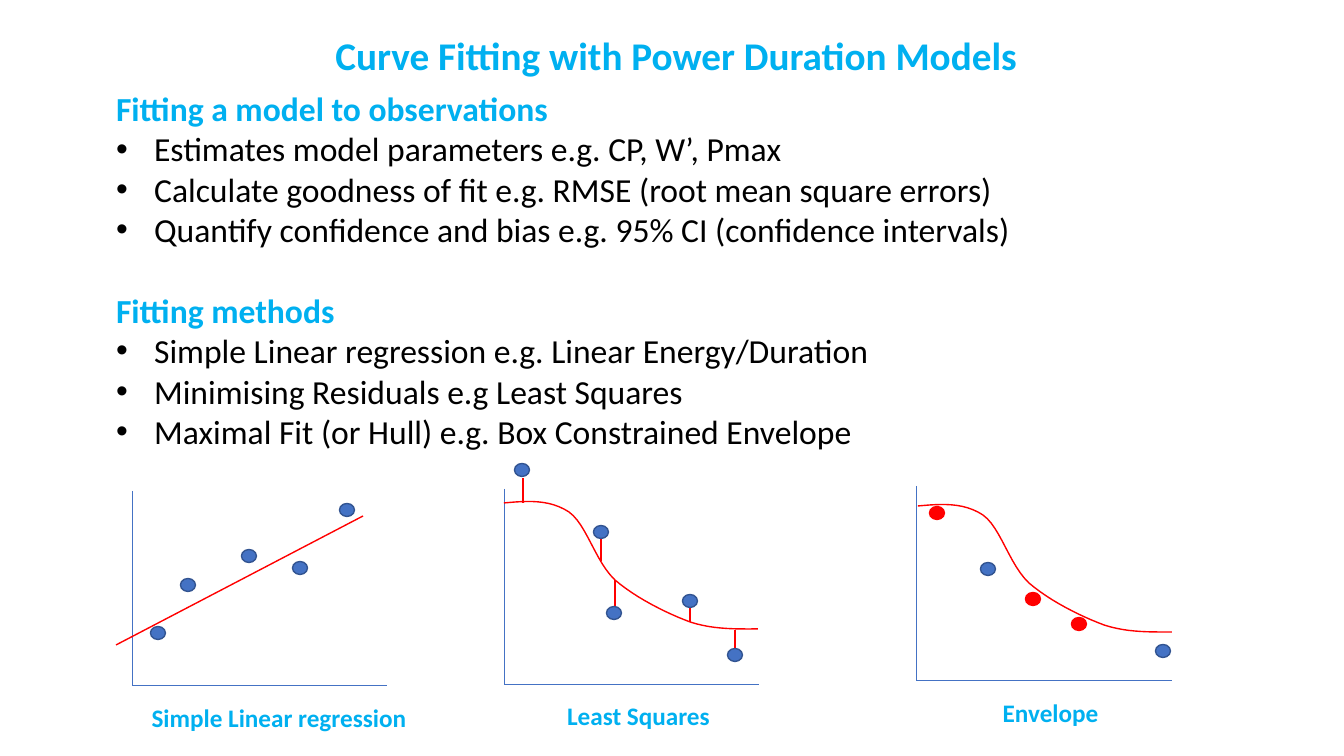
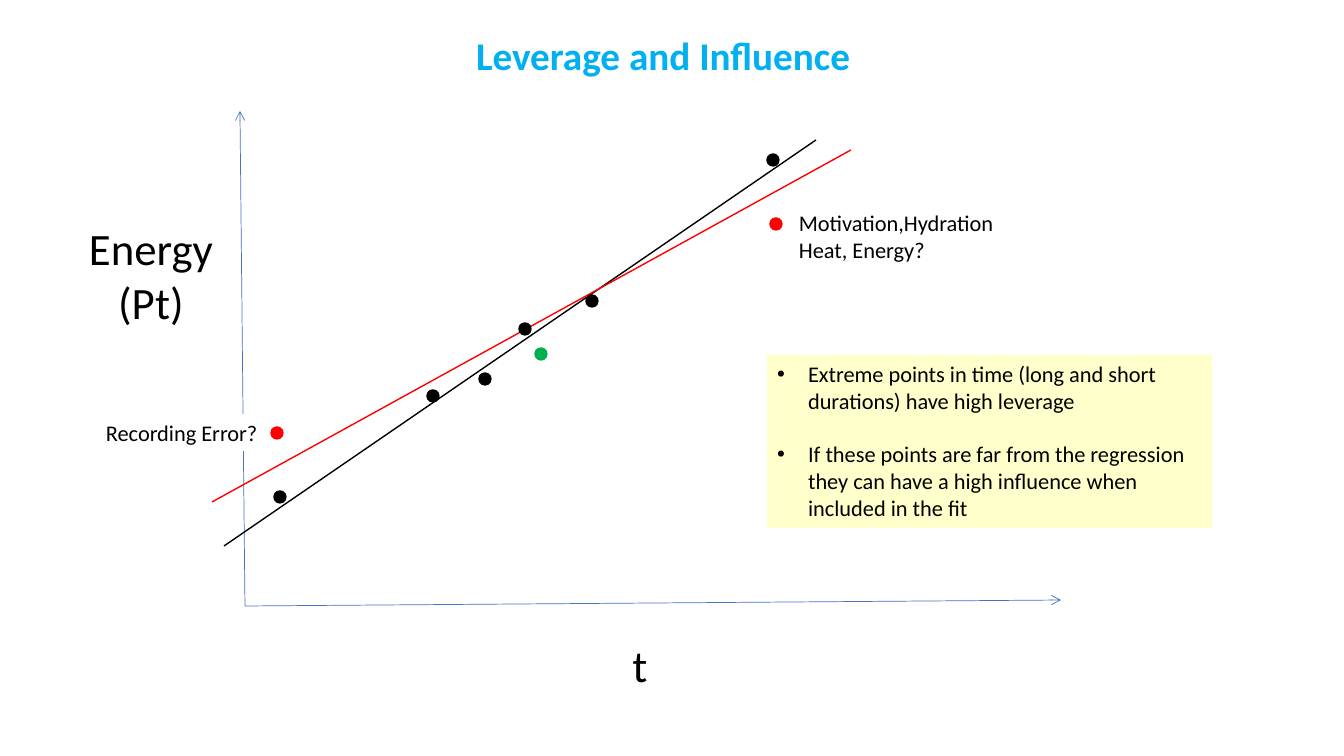
"""Build two slides on curve fitting, leverage and influence."""
import pptx
import pptx.util
import pptx.dml.color
import pptx.enum.shapes
import pptx.enum.text
import pptx.oxml.ns
import lxml.etree

SCALE = 914400 / 100.8
FONT = "Calibri"
CYAN = pptx.dml.color.RGBColor(0x00, 0xB0, 0xF0)
BLUE = pptx.dml.color.RGBColor(0x44, 0x72, 0xC4)
NAVY = pptx.dml.color.RGBColor(0x32, 0x54, 0x91)
RED = pptx.dml.color.RGBColor(0xFF, 0x00, 0x00)
GREEN = pptx.dml.color.RGBColor(0x00, 0xB0, 0x50)
BLACK = pptx.dml.color.RGBColor(0x00, 0x00, 0x00)
WHITE = pptx.dml.color.RGBColor(0xFF, 0xFF, 0xFF)
YELLOW = pptx.dml.color.RGBColor(0xFF, 0xFF, 0xCC)
LEFT = pptx.enum.text.PP_ALIGN.LEFT
CENTER = pptx.enum.text.PP_ALIGN.CENTER
FRAME_FORMAT = {
    "word_wrap": True,
    "auto_size": pptx.enum.text.MSO_AUTO_SIZE.NONE,
    "vertical_anchor": pptx.enum.text.MSO_ANCHOR.TOP,
}


def px(length):
    """Turn pixels into EMU."""
    return pptx.util.Emu(round(length * SCALE))


def write(box, bounds, rows, size, align):
    """Place a box and fill it with rows of (text, colour, indent, space before)."""
    for name, length in zip(("left", "top", "width", "height"), bounds):
        setattr(box, name, px(length))
    frame = box.text_frame
    for name, value in FRAME_FORMAT.items():
        setattr(frame, name, value)
    for number, (text, colour, indent, gap) in enumerate(rows):
        para = frame.add_paragraph() if number else frame.paragraphs[0]
        span = para.add_run()
        span.text = text
        span.font.color.rgb = colour
        font_format = {"name": FONT, "size": pptx.util.Pt(size), "bold": colour == CYAN}
        for name, value in font_format.items():
            setattr(span.font, name, value)
        para_format = {"alignment": align, "space_before": pptx.util.Pt(gap)}
        for name, value in para_format.items():
            setattr(para, name, value)
        properties = para._p.get_or_add_pPr()
        properties.set("marL", str(px(indent)))
        properties.set("indent", str(-px(indent)))
        if not indent:
            lxml.etree.SubElement(properties, pptx.oxml.ns.qn("a:buNone"))


CURVE_START = (504, 503)
CURVE_PARTS = [
    ((527, 501), (549, 499), (569, 512)),
    ((587, 525), (595, 561), (615, 580)),
    ((636, 598), (666, 613), (690, 622)),
    ((714, 630), (740, 629), (758, 629)),
]
CURVE_STEPS = 12
curve_points = [CURVE_START]
for first, second, end in CURVE_PARTS:
    start = curve_points[-1]
    for step in range(1, CURVE_STEPS + 1):
        t = step / CURVE_STEPS
        weights = ((1 - t) ** 3, 3 * t * (1 - t) ** 2, 3 * t * t * (1 - t), t ** 3)
        knots = (start, first, second, end)
        curve_points.append(tuple(
            sum(weight * knot[axis] for weight, knot in zip(weights, knots))
            for axis in (0, 1)))

plot_axes = []
for left, top, right, bottom in ((132, 491, 387, 685), (504, 489, 759, 684), (916, 486, 1172, 680)):
    plot_axes += [(left, top, left, bottom, BLUE, False), (right, bottom, left, bottom, BLUE, False)]

residuals = [
    (x, top, x, bottom, RED, False)
    for x, top, bottom in ((523, 478, 503), (601, 539, 561), (615, 608, 580),
                           (690, 622, 607), (735, 648, 630))]

pages = [
    {
        "title": ("Curve Fitting with Power Duration Models", (231, 26, 890, 57)),
        "body": ((106, 83, 1153, 417), 24, None, [
            ("Fitting a model to observations", CYAN, 0, 0),
            ("Estimates model parameters e.g. CP, W’, Pmax", BLACK, 38, 0),
            ("Calculate goodness of fit e.g. RMSE (root mean square errors)", BLACK, 38, 0),
            ("Quantify confidence and bias e.g. 95% CI (confidence intervals)", BLACK, 38, 0),
            ("Fitting methods", CYAN, 0, 29),
            ("Simple Linear regression e.g. Linear Energy/Duration", BLACK, 38, 0),
            ("Minimising Residuals e.g Least Squares", BLACK, 38, 0),
            ("Maximal Fit (or Hull) e.g. Box Constrained Envelope", BLACK, 38, 0),
        ]),
        "lines": plot_axes + [(363, 516, 116, 645, RED, False)] + residuals,
        "curves": [(0, 0), (414, 3)],
        "labels": [
            (["Simple Linear regression"], (138, 697, 282, 40), 18, CYAN, CENTER, None),
            (["Least Squares"], (511, 695, 255, 40), 18, CYAN, CENTER, None),
            (["Envelope"], (923, 692, 255, 40), 18, CYAN, CENTER, None),
        ],
        "dot_size": (15, 13),
        "dots": [
            (BLUE, NAVY, [(158, 633), (347, 510), (300, 568), (249, 556), (188, 585),
                          (522, 470), (735, 655), (690, 601), (601, 532), (614, 613),
                          (1163, 651), (988, 569)]),
            (RED, RED, [(937, 513), (1079, 624), (1033, 599)]),
        ],
    },
    {
        "title": ("Leverage and Influence", (369, 26, 588, 57)),
        "body": ((767, 355, 445, 173), 16, YELLOW, [
            ("Extreme points in time (long and short durations) have high leverage",
             BLACK, 31, 0),
            ("If these points are far from the regression they can have a high "
             "influence when included in the fit", BLACK, 31, 19),
        ]),
        "lines": [
            (240, 111, 245, 606, BLUE, True),
            (1061, 600, 245, 606, BLUE, True),
            (816, 140, 224, 546, BLACK, False),
            (851, 150, 212, 502, RED, False),
        ],
        "curves": [],
        "labels": [
            (["t"], (567, 633, 146, 65), 32, BLACK, CENTER, None),
            (["Energy", "(Pt)"], (78, 216, 146, 119), 32, BLACK, CENTER, None),
            (["Motivation,Hydration Heat, Energy?"], (789, 204, 225, 65), 16, BLACK, LEFT, WHITE),
            (["Recording Error?"], (96, 414, 173, 37), 16, BLACK, LEFT, WHITE),
        ],
        "dot_size": (12, 12),
        "dots": [
            (BLACK, BLACK, [(485, 379), (433, 396), (525, 329), (592, 301),
                            (280, 497), (773, 160)]),
            (RED, RED, [(277, 433), (776, 224)]),
            (GREEN, GREEN, [(541, 354)]),
        ],
    },
]

deck = pptx.Presentation()
deck.slide_width = px(1344)
deck.slide_height = px(756)

for content in pages:
    page = deck.slides.add_slide(deck.slide_layouts[1])
    title, bounds = content["title"]
    write(page.shapes.title, bounds, [(title, CYAN, 0, 0)], 28, CENTER)

    bounds, size, fill, rows = content["body"]
    body = page.placeholders[1]
    write(body, bounds, rows, size, LEFT)
    if fill:
        body.fill.solid()
        body.fill.fore_color.rgb = fill

    for x1, y1, x2, y2, colour, arrow in content["lines"]:
        line = page.shapes.add_connector(
            pptx.enum.shapes.MSO_CONNECTOR.STRAIGHT, px(x1), px(y1), px(x2), px(y2))
        line.line.color.rgb = colour
        line.line.width = pptx.util.Pt(0.5 if colour == BLUE else 1)
        if arrow:
            lxml.etree.SubElement(
                line.line._get_or_add_ln(), pptx.oxml.ns.qn("a:headEnd"), type="arrow")
        lxml.etree.SubElement(line._element.spPr, pptx.oxml.ns.qn("a:effectLst"))

    for texts, bounds, size, colour, align, fill in content["labels"]:
        label = page.shapes.add_textbox(0, 0, 0, 0)
        write(label, bounds, [(text, colour, 0, 0) for text in texts], size, align)
        if fill:
            label.fill.solid()
            label.fill.fore_color.rgb = fill

    width, height = content["dot_size"]
    for fill, outline, centres in content["dots"]:
        for x, y in centres:
            dot = page.shapes.add_shape(
                pptx.enum.shapes.MSO_SHAPE.OVAL,
                px(x - width / 2), px(y - height / 2), px(width), px(height))
            dot.shadow.inherit = False
            dot.fill.solid()
            dot.fill.fore_color.rgb = fill
            dot.line.color.rgb = outline
            dot.line.width = pptx.util.Pt(1)

    for shift_x, shift_y in content["curves"]:
        points = [(px(x + shift_x), px(y + shift_y)) for x, y in curve_points]
        builder = page.shapes.build_freeform(*points[0])
        builder.add_line_segments(points[1:], close=False)
        curve = builder.convert_to_shape()
        curve.shadow.inherit = False
        curve.fill.background()
        curve.line.color.rgb = RED
        curve.line.width = pptx.util.Pt(1)

deck.save("out.pptx")
